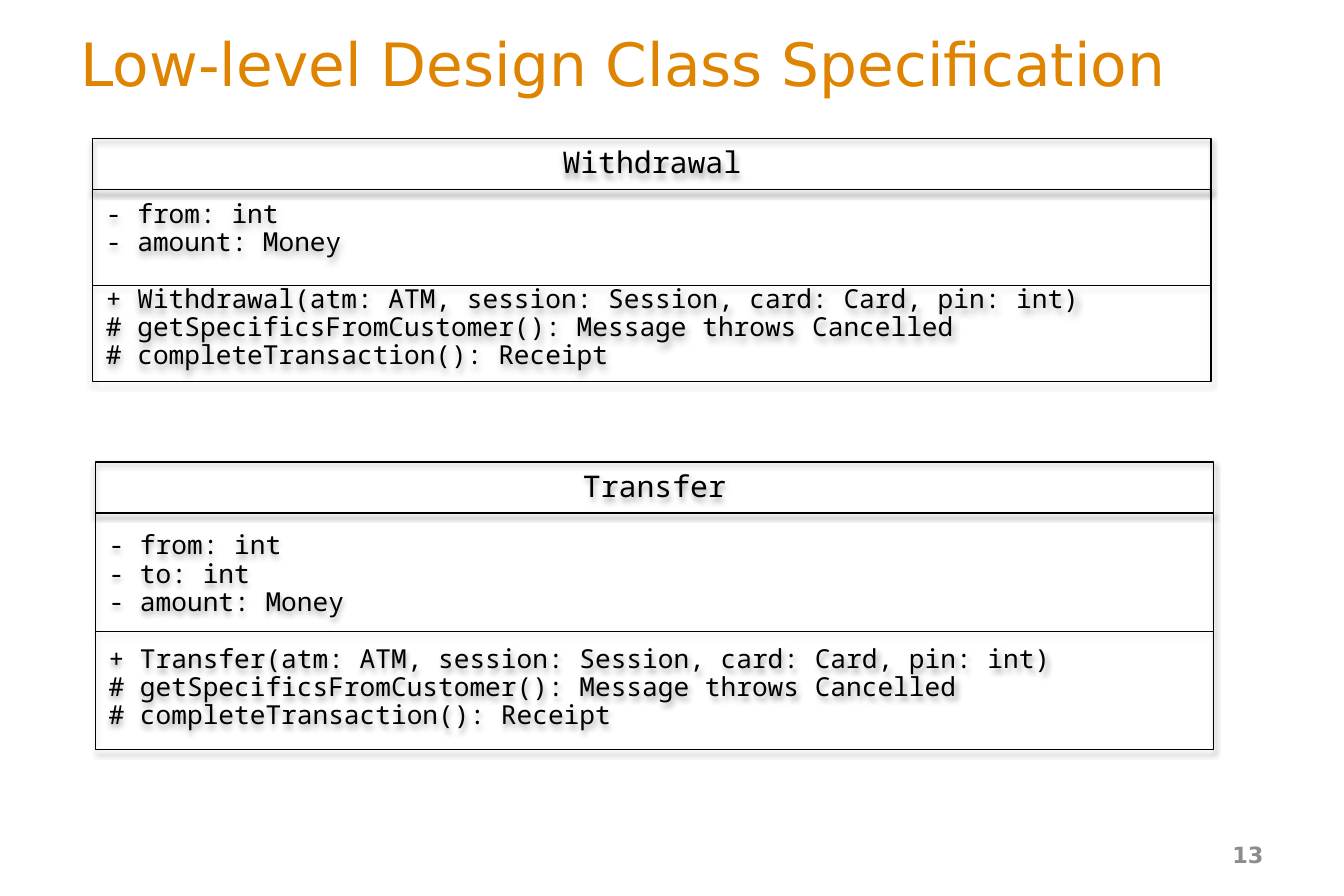
import pptx
import pptx.dml.color
import pptx.enum.shapes
import pptx.enum.text
import pptx.oxml
import pptx.oxml.ns
import pptx.util

PX = 9144
ORANGE = pptx.dml.color.RGBColor(0xDE, 0x84, 0x00)
BLACK = pptx.dml.color.RGBColor(0x00, 0x00, 0x00)
GREY = pptx.dml.color.RGBColor(0x8C, 0x8C, 0x8C)
SANS = "DejaVu Sans"
MONO = "Noto Sans Mono"
LEFT = pptx.enum.text.PP_ALIGN.LEFT
CENTER = pptx.enum.text.PP_ALIGN.CENTER
RIGHT = pptx.enum.text.PP_ALIGN.RIGHT
HEADER_HEIGHT = 38
SHARED_METHODS = [
    "# getSpecificsFromCustomer(): Message throws Cancelled",
    "# completeTransaction(): Receipt",
]


def emu(*lengths):
    """Turn px lengths into EMU."""
    return [length * PX for length in lengths]


def write(shape, lines, font, size, color, align, bold=False, spacing=1.0):
    """Fill a shape with formatted lines, centred vertically."""
    frame = shape.text_frame
    frame.text = "\n".join(lines)
    frame.word_wrap = True
    frame.auto_size = pptx.enum.text.MSO_AUTO_SIZE.NONE
    frame.vertical_anchor = pptx.enum.text.MSO_ANCHOR.MIDDLE
    for paragraph in frame.paragraphs:
        paragraph.alignment = align
        paragraph.line_spacing = spacing
        for run in paragraph.runs:
            run.font.name = font
            run.font.size = pptx.util.Pt(size)
            run.font.bold = bold
            run.font.color.rgb = color


def outline(shape, opacity, distance):
    """Give a shape a thin black line and a soft shadow below it."""
    shape.line.color.rgb = BLACK
    shape.line.width = pptx.util.Pt(0.75)
    shape._element.spPr.append(pptx.oxml.parse_xml(
        f'<a:effectLst {pptx.oxml.ns.nsdecls("a")}>'
        f'<a:outerShdw blurRad="{pptx.util.Pt(3.1)}" dist="{pptx.util.Pt(distance)}"'
        ' dir="5400000" rotWithShape="0"><a:srgbClr val="000000">'
        f'<a:alpha val="{opacity * 1000}"/></a:srgbClr></a:outerShdw></a:effectLst>'
    ))


def add_compartment(slide, left, top, width, height):
    """Add one unfilled, outlined rectangle of a class box."""
    compartment = slide.shapes.add_shape(
        pptx.enum.shapes.MSO_SHAPE.RECTANGLE, *emu(left, top, width, height))
    compartment.fill.background()
    outline(compartment, 35, 1.8)
    return compartment


def add_class(slide, box, name, attributes, methods):
    """Draw a class box with its name, attributes and methods."""
    left, top, width, height = box
    members = add_compartment(
        slide, left, top + HEADER_HEIGHT, width, height - HEADER_HEIGHT)
    write(members, attributes + methods, MONO, 14, BLACK, LEFT, spacing=0.9)
    first_method = members.text_frame.paragraphs[len(attributes)]
    first_method.space_before = pptx.util.Pt(15.3)

    divider = slide.shapes.add_connector(
        pptx.enum.shapes.MSO_CONNECTOR.STRAIGHT, 0, 0, 0, 0)
    divider.begin_connect(members, 1)
    divider.end_connect(members, 3)
    outline(divider, 38, 1.6)

    header = add_compartment(slide, left, top, width, HEADER_HEIGHT)
    write(header, [name], MONO, 16, BLACK, CENTER, spacing=0.9)


def add_title(slide, box, text):
    """Place the slide title in its placeholder."""
    title = slide.shapes.title
    title.left, title.top, title.width, title.height = emu(*box)
    write(title, [text], SANS, 32, ORANGE, LEFT)


def add_page_number(slide, box, number):
    """Place the page number at the bottom right."""
    page_number = slide.shapes.add_textbox(*emu(*box))
    write(page_number, [number], SANS, 12, GREY, RIGHT, bold=True)


def main():
    """Build the slide and save it."""
    deck = pptx.Presentation()
    deck.slide_width, deck.slide_height = emu(1000, 667)
    slide = deck.slides.add_slide(deck.slide_layouts[5])
    add_title(slide, (50, 24, 900, 46), "Low-level Design Class Specification")
    add_page_number(slide, (717, 618, 233, 36), "13")
    add_class(
        slide, (69, 103, 832, 181), "Withdrawal",
        ["- from: int", "- amount: Money"],
        ["+ Withdrawal(atm: ATM, session: Session, card: Card, pin: int)"]
        + SHARED_METHODS)
    add_class(
        slide, (71, 344, 832, 214), "Transfer",
        ["- from: int", "- to: int", "- amount: Money"],
        ["+ Transfer(atm: ATM, session: Session, card: Card, pin: int)"]
        + SHARED_METHODS)
    deck.save("out.pptx")


if __name__ == "__main__":
    main()
